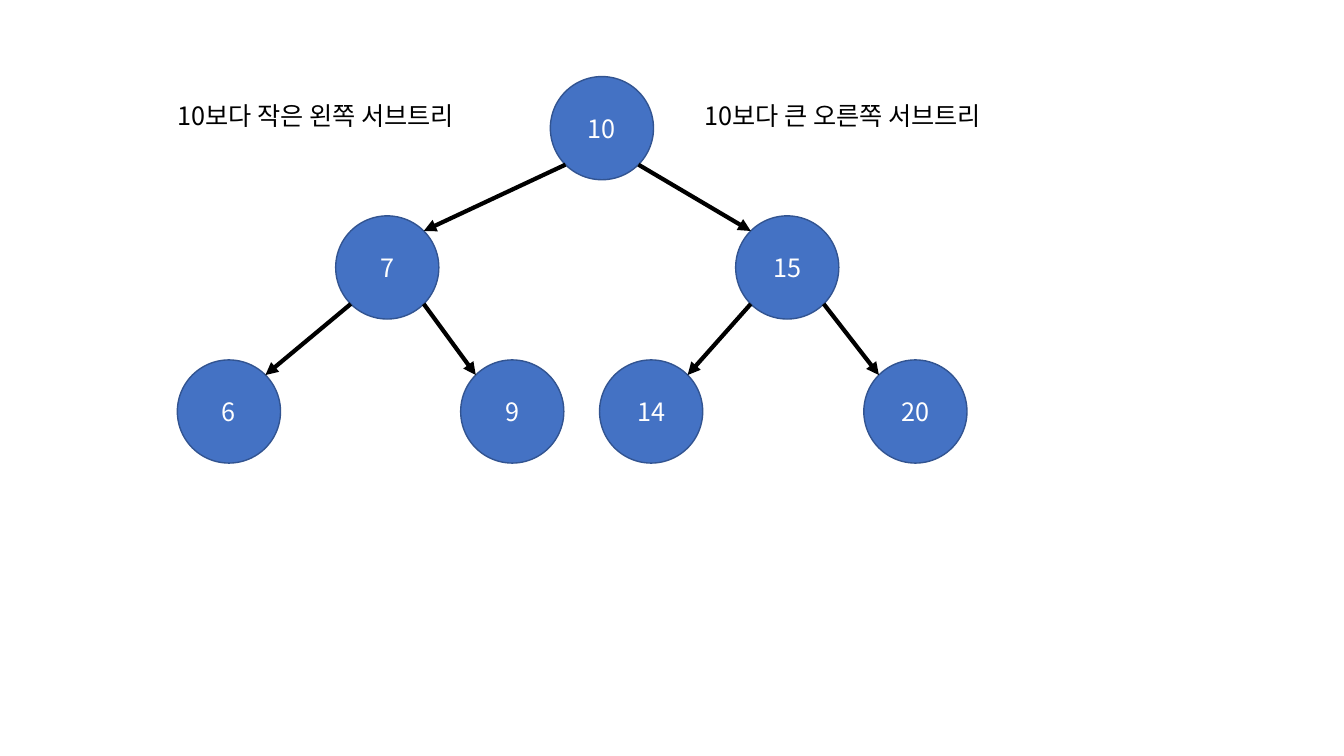
import math

import lxml.etree
import pptx
import pptx.dml.color
import pptx.enum.shapes
import pptx.enum.text
import pptx.oxml.ns
import pptx.util

Cm = pptx.util.Cm
COLOURS = {"node": "4472C4", "outline": "325491", "light": "FFFFFF", "dark": "000000"}
FONT = "Noto Sans CJK KR"
DIAMETER = 2.6
LEVEL_TOPS = [1.93, 5.44, 9.07]
NODES = {10: (13.87, 0), 7: (8.46, 1), 6: (4.47, 2), 9: (11.61, 2),
         15: (18.54, 1), 14: (15.11, 2), 20: (21.77, 2)}
CHILDREN = {10: (7, 15), 7: (6, 9), 15: (14, 20)}
CAPTIONS = [("10보다 작은 왼쪽 서브트리", 4.22), ("10보다 큰 오른쪽 서브트리", 17.5)]


def colour(name):
    """Return the named colour as an RGB value."""
    return pptx.dml.color.RGBColor.from_string(COLOURS[name])


def add_element(parent, tag, **attributes):
    """Append a DrawingML element with attributes to its parent."""
    return lxml.etree.SubElement(parent, pptx.oxml.ns.qn(tag), **attributes)


def write_text(shape, text, size=18, ink="dark", align="LEFT", anchor="TOP", wrap=True):
    """Write formatted text into a shape."""
    frame = shape.text_frame
    frame.word_wrap = wrap
    frame.vertical_anchor = pptx.enum.text.MSO_ANCHOR[anchor]
    paragraph = frame.paragraphs[0]
    paragraph.alignment = pptx.enum.text.PP_ALIGN[align]
    run = paragraph.add_run()
    run.text = text
    run.font.size = pptx.util.Pt(size)
    run.font.color.rgb = colour(ink)
    run.font.name = FONT
    add_element(run.font._element, "a:ea", typeface=FONT)


def add_node(slide, value):
    """Add the circle of one tree node."""
    left, level = NODES[value]
    shape = slide.shapes.add_shape(
        pptx.enum.shapes.MSO_SHAPE.FLOWCHART_CONNECTOR,
        Cm(left), Cm(LEVEL_TOPS[level]), Cm(DIAMETER), Cm(DIAMETER))
    shape.shadow.inherit = False
    shape.fill.solid()
    shape.fill.fore_color.rgb = colour("node")
    shape.line.color.rgb = colour("outline")
    shape.line.width = pptx.util.Pt(1)
    write_text(shape, str(value), ink="light", align="CENTER", anchor="MIDDLE")


def rim_point(value, side, direction):
    """Return the diagonal point on a node's rim, with signs for right and down."""
    left, level = NODES[value]
    radius = DIAMETER / 2
    offset = radius * math.sqrt(0.5)
    return (Cm(left + radius + side * offset),
            Cm(LEVEL_TOPS[level] + radius + direction * offset))


def add_edge(slide, parent, child, side):
    """Add the arrow from a parent node to its child on the given side."""
    connector = slide.shapes.add_connector(
        pptx.enum.shapes.MSO_CONNECTOR.STRAIGHT,
        *rim_point(parent, side, 1), *rim_point(child, -side, -1))
    connector.line.color.rgb = colour("dark")
    connector.line.width = pptx.util.Pt(3)
    add_element(connector.line._get_or_add_ln(), "a:tailEnd", type="triangle")
    add_element(connector._element.spPr, "a:effectLst")


def add_caption(slide, text, left):
    """Add a one-line caption beside the root node."""
    box = slide.shapes.add_textbox(Cm(left), Cm(2.41), Cm(8.3), Cm(1.03))
    write_text(box, text, wrap=False)
    box.text_frame.auto_size = pptx.enum.text.MSO_AUTO_SIZE.SHAPE_TO_FIT_TEXT


def main():
    """Build the binary search tree slide."""
    presentation = pptx.Presentation()
    presentation.slide_width = Cm(33.87)
    presentation.slide_height = Cm(19.05)
    slide = presentation.slides.add_slide(presentation.slide_layouts[6])
    for value in NODES:
        add_node(slide, value)
    for parent, children in CHILDREN.items():
        for child, side in zip(children, (-1, 1)):
            add_edge(slide, parent, child, side)
    for text, left in CAPTIONS:
        add_caption(slide, text, left)
    presentation.save("out.pptx")


main()
